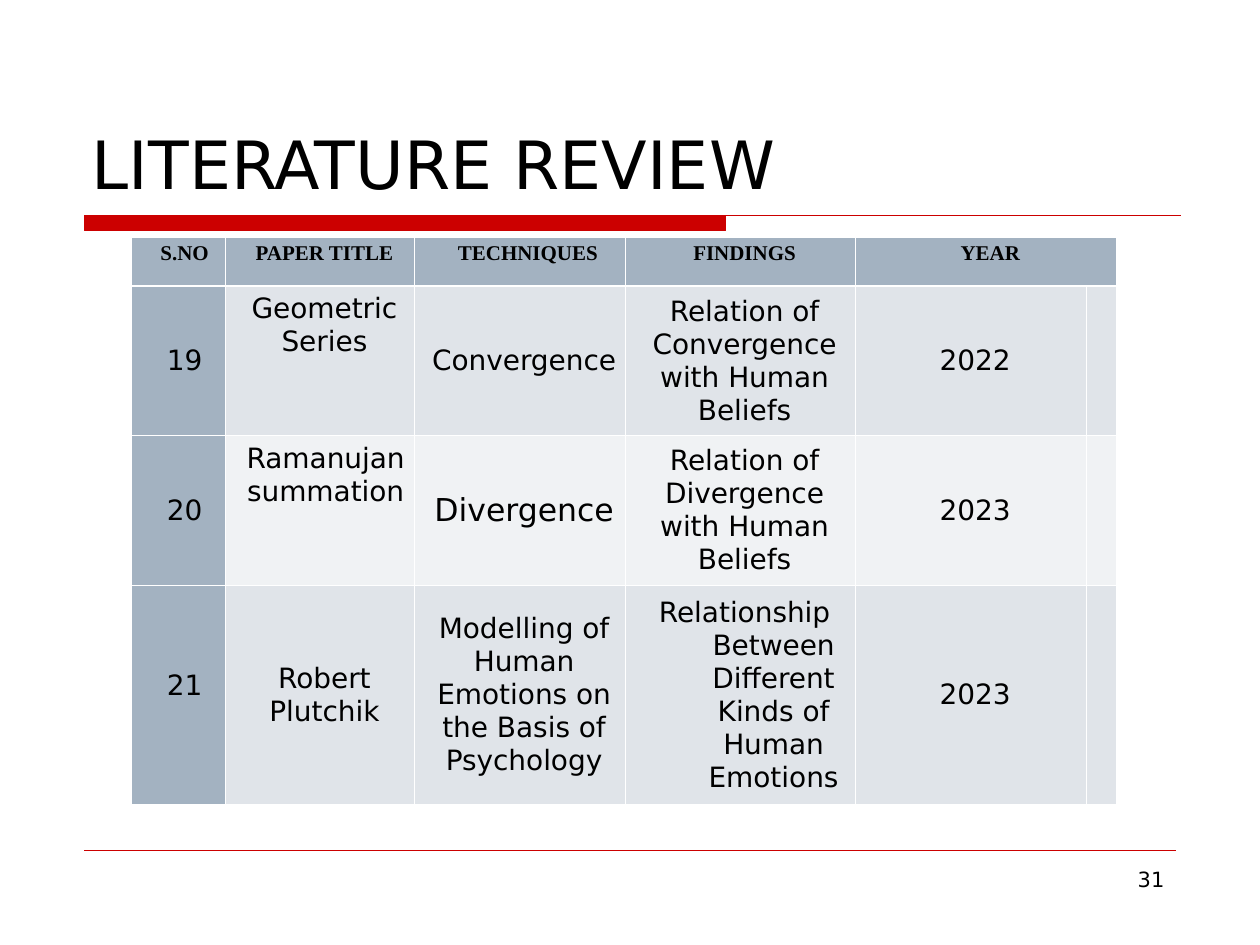
from lxml.etree import SubElement
from pptx import Presentation
from pptx.dml.color import RGBColor
from pptx.enum.shapes import MSO_CONNECTOR
from pptx.enum.text import MSO_ANCHOR, PP_ALIGN
from pptx.oxml.ns import qn
from pptx.util import Inches, Pt

COLORS = {
    "red": "CC0000",
    "black": "000000",
    "white": "FFFFFF",
    "header": "A3B2C1",
    "odd": "E0E4E9",
    "even": "F0F2F4",
}
SANS, SERIF = "DejaVu Sans", "Times New Roman"

HEADERS = ["S.NO", "PAPER TITLE", "TECHNIQUES", "FINDINGS", "YEAR"]
PAPERS = [
    ["19", "Geometric Series", "Convergence",
     "Relation of Convergence with Human Beliefs", "2022"],
    ["20", "Ramanujan summation", "Divergence",
     "Relation of Divergence with Human Beliefs", "2023"],
    ["21", "Robert Plutchik",
     "Modelling of Human Emotions on the Basis of Psychology",
     "Relationship Between Different Kinds of Human Emotions", "2023"],
]
COLUMN_WIDTHS = [0.75, 1.5, 1.67, 1.83, 1.83, 0.08]
ROW_HEIGHTS = [0.39, 1.17, 0.88, 1.74]

# Exceptions by (row, column): left margin and first-line indent, text size
INDENTS = {(0, 0): (0.03, 0), (0, 2): (0.06, 0), (1, 0): (0.03, 0),
           (2, 0): (0.03, 0), (2, 1): (0.02, 0), (3, 0): (0.03, 0),
           (3, 3): (0.46, -0.46)}
SIZES = {(2, 2): 18}
TOP_CELLS = {(1, 1), (2, 1)}


def color(name):
    return RGBColor.from_string(COLORS[name])


def write(para, text, size, font=SANS, bold=False):
    span = para.add_run()
    span.text = text
    span.font.size = Pt(size)
    span.font.name = font
    span.font.bold = bold
    span.font.color.rgb = color("black")


def add_text(page, place, text, size, align, anchor):
    box = page.shapes.add_textbox(*map(Inches, place))
    frame = box.text_frame
    frame.word_wrap = True
    frame.vertical_anchor = anchor
    para = frame.paragraphs[0]
    para.alignment = align
    write(para, text, size)


def add_title_rule(page):
    """Thick bar with a thin line that runs on along its top edge."""
    left, top, right = Inches(0.67), Inches(1.71), Inches(9.37)
    bar_right, bottom = Inches(5.76), Inches(1.83)
    builder = page.shapes.build_freeform(left, top)
    builder.add_line_segments(
        [(bar_right, top), (bar_right, bottom), (left, bottom)], close=True)
    builder.move_to(left, top)
    builder.add_line_segments([(right, top)], close=False)
    rule = builder.convert_to_shape()
    rule.shadow.inherit = False
    rule.fill.solid()
    rule.fill.fore_color.rgb = color("red")
    rule.line.color.rgb = color("red")
    rule.line.width = Pt(0.75)


def add_footer_line(page):
    line = page.shapes.add_connector(
        MSO_CONNECTOR.STRAIGHT, Inches(0.67), Inches(6.75), Inches(9.33), Inches(6.75))
    line.line.color.rgb = color("red")
    line.line.width = Pt(0.25)
    SubElement(line._element.spPr, qn("a:effectLst"))


def set_borders(cell, row):
    properties = cell._tc.get_or_add_tcPr()
    for side in "LRTB":
        under_header = (row, side) in {(0, "B"), (1, "T")}
        width = Pt(0.75 if under_header else 0.23)
        border = SubElement(properties, qn(f"a:ln{side}"), w=str(int(width)))
        fill = SubElement(border, qn("a:solidFill"))
        SubElement(fill, qn("a:srgbClr"), val=COLORS["white"])


def fill_cell(cell, row, column):
    set_borders(cell, row)
    if row == 0 or column == 0:
        shade = "header"
    else:
        shade = "odd" if row % 2 else "even"
    cell.fill.solid()
    cell.fill.fore_color.rgb = color(shade)


def write_cell(cell, text, row, column):
    is_header = row == 0
    cell.margin_left, cell.margin_right = Inches(0.1), Inches(0.03)
    cell.margin_top = cell.margin_bottom = Inches(0.05)
    at_top = is_header or (row, column) in TOP_CELLS
    cell.vertical_anchor = MSO_ANCHOR.TOP if at_top else MSO_ANCHOR.MIDDLE
    para = cell.text_frame.paragraphs[0]
    para.alignment = PP_ALIGN.CENTER
    para.line_spacing = 0.93 if is_header else 1.02
    margin, indent = INDENTS.get((row, column), (0, 0))
    paragraph_properties = para._p.get_or_add_pPr()
    paragraph_properties.set("marL", str(int(Inches(margin))))
    paragraph_properties.set("indent", str(int(Inches(indent))))
    if is_header:
        write(para, text, 12, SERIF, bold=True)
    else:
        write(para, text, SIZES.get((row, column), 16))


def add_review_table(page):
    rows = [HEADERS] + PAPERS
    frame = page.shapes.add_table(
        len(rows), len(COLUMN_WIDTHS), Inches(1.04), Inches(1.88),
        Inches(sum(COLUMN_WIDTHS)), Inches(sum(ROW_HEIGHTS)))
    table = frame.table
    table.first_row = table.horz_banding = False
    for column, width in zip(table.columns, COLUMN_WIDTHS):
        column.width = Inches(width)
    for row, height in zip(table.rows, ROW_HEIGHTS):
        row.height = Inches(height)

    for row, texts in enumerate(rows):
        for column in range(len(COLUMN_WIDTHS)):
            fill_cell(table.cell(row, column), row, column)
        for column, text in enumerate(texts):
            write_cell(table.cell(row, column), text, row, column)
    # YEAR heading covers the narrow last column
    table.cell(0, 4).merge(table.cell(0, 5))
    # The last number sits slightly above the middle
    table.cell(3, 0).margin_bottom = Inches(0.2)


def main():
    deck = Presentation()
    deck.slide_width, deck.slide_height = Inches(10), Inches(7.5)
    page = deck.slides.add_slide(deck.slide_layouts[6])

    # Rules and page number
    add_title_rule(page)
    add_footer_line(page)
    add_text(page, (7.17, 6.83, 2.17, 0.52), "31", 12, PP_ALIGN.RIGHT, MSO_ANCHOR.TOP)

    # Content
    add_review_table(page)
    add_text(page, (0.63, 0.33, 8.75, 1.33), "LITERATURE REVIEW", 38,
             PP_ALIGN.LEFT, MSO_ANCHOR.BOTTOM)

    deck.save("out.pptx")


if __name__ == "__main__":
    main()
